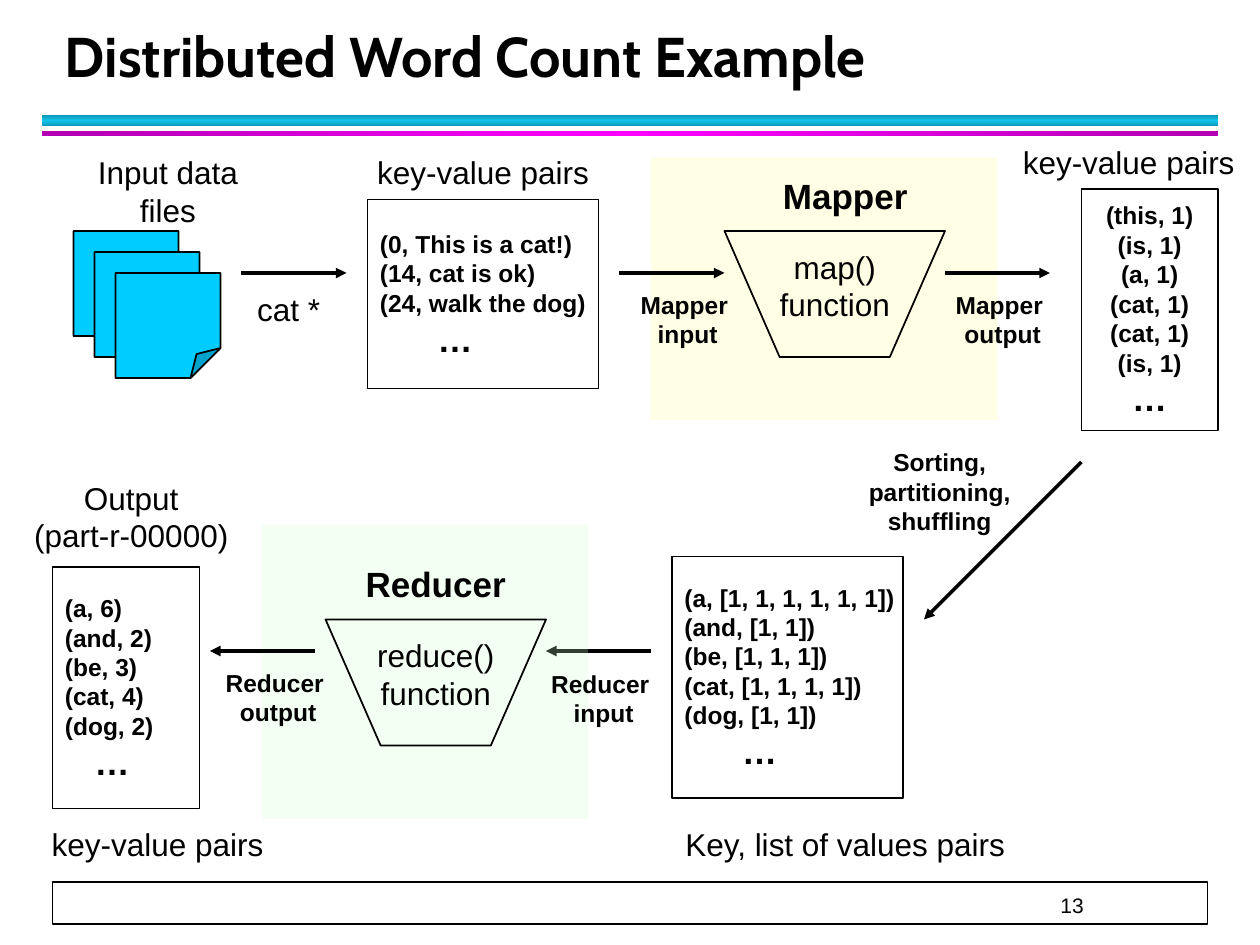
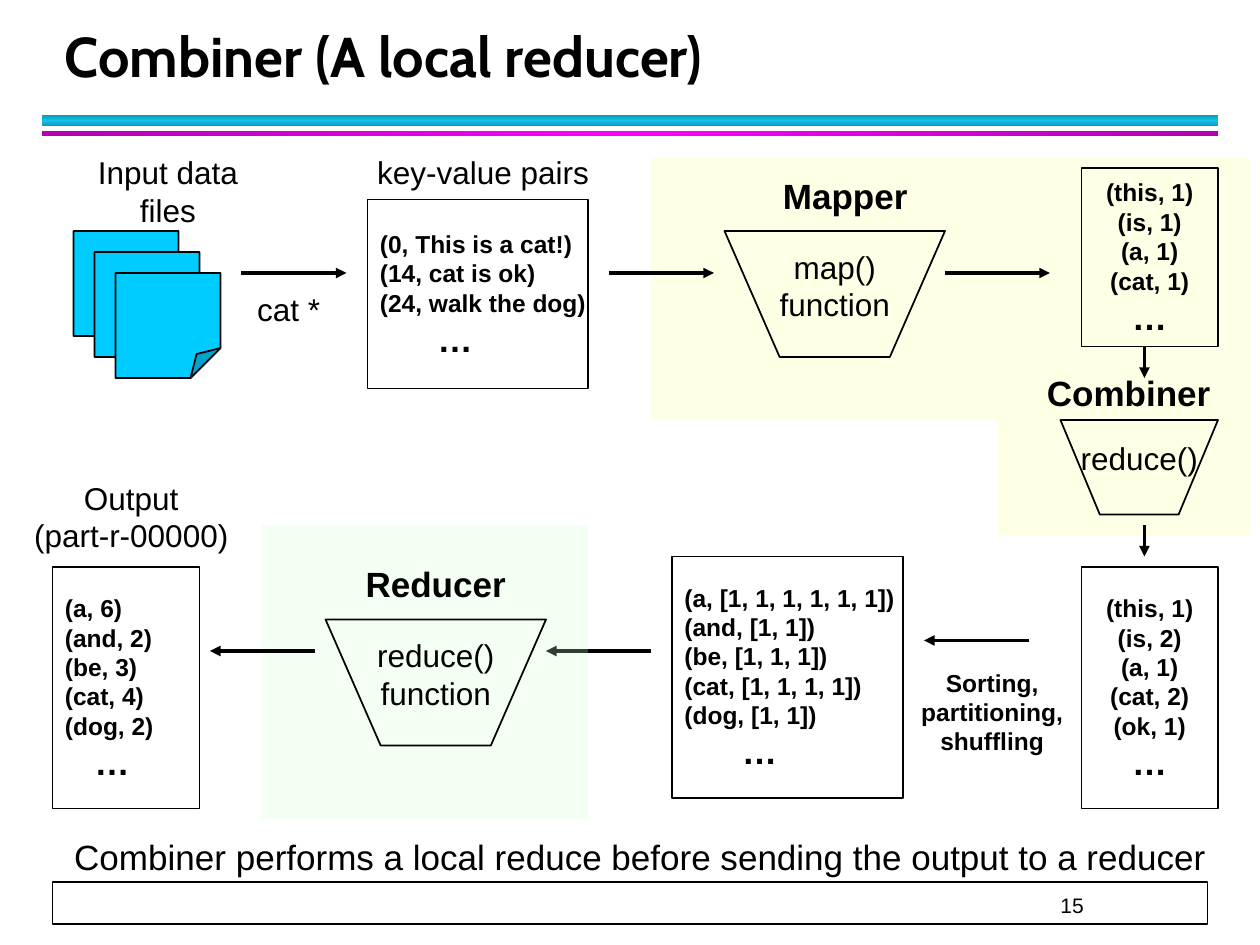
"""Build two slides on distributed word count, on a grid of 120 columns by 90 rows."""
from copy import deepcopy

from pptx import Presentation
from pptx.dml.color import RGBColor
from pptx.enum.shapes import MSO_CONNECTOR as CONN, MSO_SHAPE as SHAPE
from pptx.enum.text import MSO_ANCHOR as ANCHOR, PP_ALIGN as ALIGN
from pptx.oxml.ns import qn
from pptx.oxml.xmlchemy import OxmlElement
from pptx.util import Inches, Pt

BLACK = RGBColor(0, 0, 0)
WHITE = RGBColor(0xFF, 0xFF, 0xFF)
PAPER = RGBColor(0x00, 0xCC, 0xFF)
YELLOW = RGBColor(0xFF, 0xFF, 0x99)
GREEN = RGBColor(0xCC, 0xFF, 0xCC)
TEAL, CYAN = RGBColor(0x0E, 0x9B, 0xBA), RGBColor(0x12, 0xC2, 0xE9)
PURPLE, MAGENTA = RGBColor(0xB2, 0x00, 0xB2), RGBColor(0xFF, 0x00, 0xFF)

prs = Presentation()
prs.slide_width, prs.slide_height = Inches(10), Inches(7.5)
U = prs.slide_width // 120


def grid(*lengths):
    return [round(n * U) for n in lengths]


def write(sp, text, size, bold=False, align=ALIGN.CENTER, anchor=ANCHOR.TOP, font="Arial"):
    tf = sp.text_frame
    tf.text = text
    tf.word_wrap = True
    tf.vertical_anchor = anchor
    for p in tf.paragraphs:
        p.alignment = align
        for r in p.runs:
            r.font.name, r.font.size, r.font.bold = font, Pt(size), bold
            r.font.color.rgb = BLACK
    return tf


RULES = [(11, 1, 90, TEAL, CYAN), (12.5, 0.5, 0, PURPLE, MAGENTA)]
REDUCER_INPUT = (62, 62, 52, 62)
MAPPER_BAND = (62, 15, 33, 25, YELLOW)
REDUCER_BAND = (25, 50, 31, 28, GREEN)

FUNNELS = [(69, 22, 21, 12), (31, 59, 21, 12)]
ARROWS = [(23, 26, 33, 26), (90, 26, 100, 26), (30, 62, 20, 62)]
LABELS = [
    (7, 14, 18, "Input data files", 18, False),
    (23, 27, 9, "cat *", 18, False),
    (33, 14, 26, "key-value pairs", 18, False),
    (72, 16, 17, "Mapper", 20, True),
    (72, 23, 15, "map() function", 18, False),
    (33, 53, 17, "Reducer", 20, True),
    (34, 60, 15, "reduce() function", 18, False),
    (1, 45, 23, "Output\v(part-r-00000)", 18, False),
]
LINES = "(0, This is a cat!)\n(14, cat is ok)\n(24, walk the dog)\n…"
BOXES = [
    (64, 53, 22, 23, "(a, [1, 1, 1, 1, 1, 1])\n(and, [1, 1])\n(be, [1, 1, 1])\n"
     "(cat, [1, 1, 1, 1])\n(dog, [1, 1])\n…", ALIGN.LEFT, 33),
    (5, 54, 14, 23, "(a, 6)\n(and, 2)\n(be, 3)\n(cat, 4)\n(dog, 2)\n…", ALIGN.LEFT, 17),
]
SORTING = "Sorting, partitioning, shuffling"

SLIDES = [
    dict(
        title="Distributed Word Count Example", number="13",
        bands=[MAPPER_BAND, REDUCER_BAND],
        funnels=[],
        arrows=[(59, 26, 69, 26), (103, 44, 88, 59)],
        boxes=[
            (35, 19, 22, 18, LINES, ALIGN.LEFT, 33),
            (103, 18, 13, 23, "(this, 1)\n(is, 1)\n(a, 1)\n(cat, 1)\n(cat, 1)\n(is, 1)\n…",
             ALIGN.CENTER, 0),
        ],
        labels=[
            (81, 42, 17, SORTING, 14, True),
            (61, 78, 39, "Key, list of values pairs", 18, False),
            (2, 78, 26, "key-value pairs", 18, False),
            (96, 13, 23, "key-value pairs", 18, False),
            (57, 27, 17, "Mapper \vinput", 14, True),
            (87, 27, 17, "Mapper \voutput", 14, True),
            (49, 63.1, 17, "Reducer \vinput", 14, True),
            (18, 63, 17, "Reducer \voutput", 14, True),
        ],
    ),
    dict(
        title="Combiner (A local reducer)", number="15",
        bands=[(95, 15, 24, 36, YELLOW), MAPPER_BAND, REDUCER_BAND],
        funnels=[(101, 40, 15, 9)],
        arrows=[(58, 26, 68, 26), (98, 61, 88, 61), (109, 33, 109, 36), (109, 50, 109, 53)],
        boxes=[
            (35, 19, 21, 18, LINES, ALIGN.LEFT, 33),
            (103, 16, 13, 17, "(this, 1)\n(is, 1)\n(a, 1)\n(cat, 1)\n…", ALIGN.CENTER, 0),
            (103, 54, 13, 23, "(this, 1)\n(is, 2)\n(a, 1)\n(cat, 2)\n(ok, 1)\n…",
             ALIGN.CENTER, 0),
        ],
        labels=[
            (86, 63, 17, SORTING, 14, True),
            (98, 34.8, 19, "Combiner", 20, True),
            (101, 41.2, 15, "reduce()", 18, False),
            (5, 79, 112, "Combiner performs a local reduce before sending the output to a reducer",
             20, False),
        ],
    ),
]

for page in SLIDES:
    s = prs.slides.add_slide(prs.slide_layouts[6])
    shapes = s.shapes

    sp = shapes.add_shape(SHAPE.RECTANGLE, *grid(5, 84, 110, 4))
    sp.shadow.inherit = False
    sp.fill.solid()
    sp.fill.fore_color.rgb = WHITE
    sp.line.color.rgb, sp.line.width = BLACK, Pt(1)
    sp = shapes.add_textbox(*grid(101, 84, 8, 3.4))
    tf = write(sp, page["number"], 12, align=ALIGN.LEFT, anchor=ANCHOR.BOTTOM)
    tf.margin_left = tf.margin_right = tf.margin_top = tf.margin_bottom = 0
    tf.paragraphs[0].line_spacing = Pt(20)

    for y, h, angle, edge, middle in RULES:
        sp = shapes.add_shape(SHAPE.RECTANGLE, *grid(4, y, 112, h))
        sp.shadow.inherit = False
        sp.line.fill.background()
        sp.fill.gradient()
        sp.fill.gradient_angle = angle
        first, last = sp.fill.gradient_stops
        first.color.rgb = last.color.rgb = middle
        stops = sp._element.find(".//" + qn("a:gsLst"))
        center = deepcopy(stops[0])
        center.set("pos", "50000")
        stops.insert(1, center)
        first.color.rgb = last.color.rgb = edge
        first.position, last.position = 0, 1

    sp = shapes.add_textbox(*grid(5, 2, 108.7, 7))
    tf = write(sp, page["title"], 32, True, ALIGN.LEFT, ANCHOR.BOTTOM, "Cabin")
    tf.paragraphs[0].line_spacing = Pt(36)

    arrows = [REDUCER_INPUT] + ARROWS + page["arrows"]
    for i, ends in enumerate(arrows):
        c = shapes.add_connector(CONN.STRAIGHT, *grid(*ends))
        c.line.color.rgb, c.line.width = BLACK, Pt(2)
        tip = OxmlElement("a:tailEnd")
        tip.set("type", "triangle")
        c.line._get_or_add_ln().append(tip)
        c._element.spPr.append(OxmlElement("a:effectLst"))
        if i > 0:
            continue
        for x, y, w, h, color in page["bands"]:
            sp = shapes.add_shape(SHAPE.RECTANGLE, *grid(x, y, w, h))
            sp.shadow.inherit = False
            sp.line.fill.background()
            sp.fill.solid()
            sp.fill.fore_color.rgb = color
            alpha = OxmlElement("a:alpha")
            alpha.set("val", "24000")
            sp._element.spPr.find(".//" + qn("a:srgbClr")).append(alpha)

    for step in (0, 2, 4):
        sp = shapes.add_shape(SHAPE.FOLDED_CORNER, *grid(7 + step, 22 + step, 10, 10))
        fold = OxmlElement("a:gd")
        fold.set("name", "adj")
        fold.set("fmla", "val 28500")
        sp._element.spPr.find(".//" + qn("a:avLst")).append(fold)
        sp.shadow.inherit = False
        sp.fill.solid()
        sp.fill.fore_color.rgb = PAPER
        sp.line.color.rgb, sp.line.width = BLACK, Pt(1)

    for x, y, w, h in FUNNELS + page["funnels"]:
        fb = shapes.build_freeform(*grid(x, y))
        corners = [(x + w / 4, y + h), (x + w * 3 / 4, y + h), (x + w, y)]
        fb.add_line_segments([grid(*corner) for corner in corners], close=True)
        sp = fb.convert_to_shape()
        sp.shadow.inherit = False
        sp.fill.background()
        sp.line.color.rgb, sp.line.width = BLACK, Pt(1)

    for x, y, w, h, text, align, indent in BOXES + page["boxes"]:
        sp = shapes.add_shape(SHAPE.RECTANGLE, *grid(x, y, w, h))
        sp.shadow.inherit = False
        sp.fill.background()
        sp.line.color.rgb, sp.line.width = BLACK, Pt(1)
        tf = write(sp, text, 14, True, align, ANCHOR.MIDDLE)
        tf.word_wrap = False
        p = tf.paragraphs[-1]
        p.runs[0].font.size = Pt(20)
        p._p.get_or_add_pPr().set("marL", str(int(Pt(indent))))

    for x, y, w, text, size, bold in LABELS + page["labels"]:
        write(shapes.add_textbox(*grid(x, y, w, 5)), text, size, bold)

prs.save("out.pptx")
